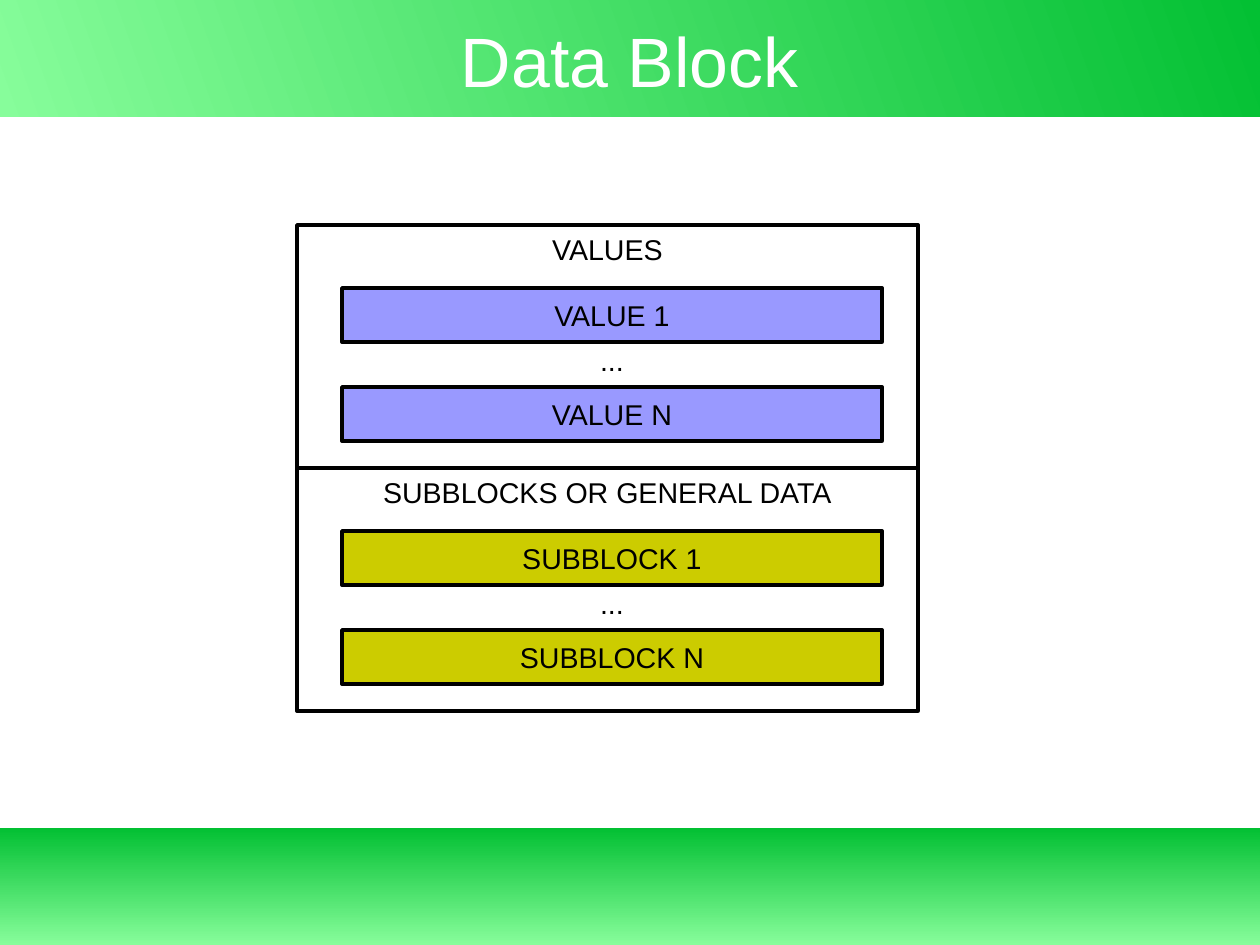
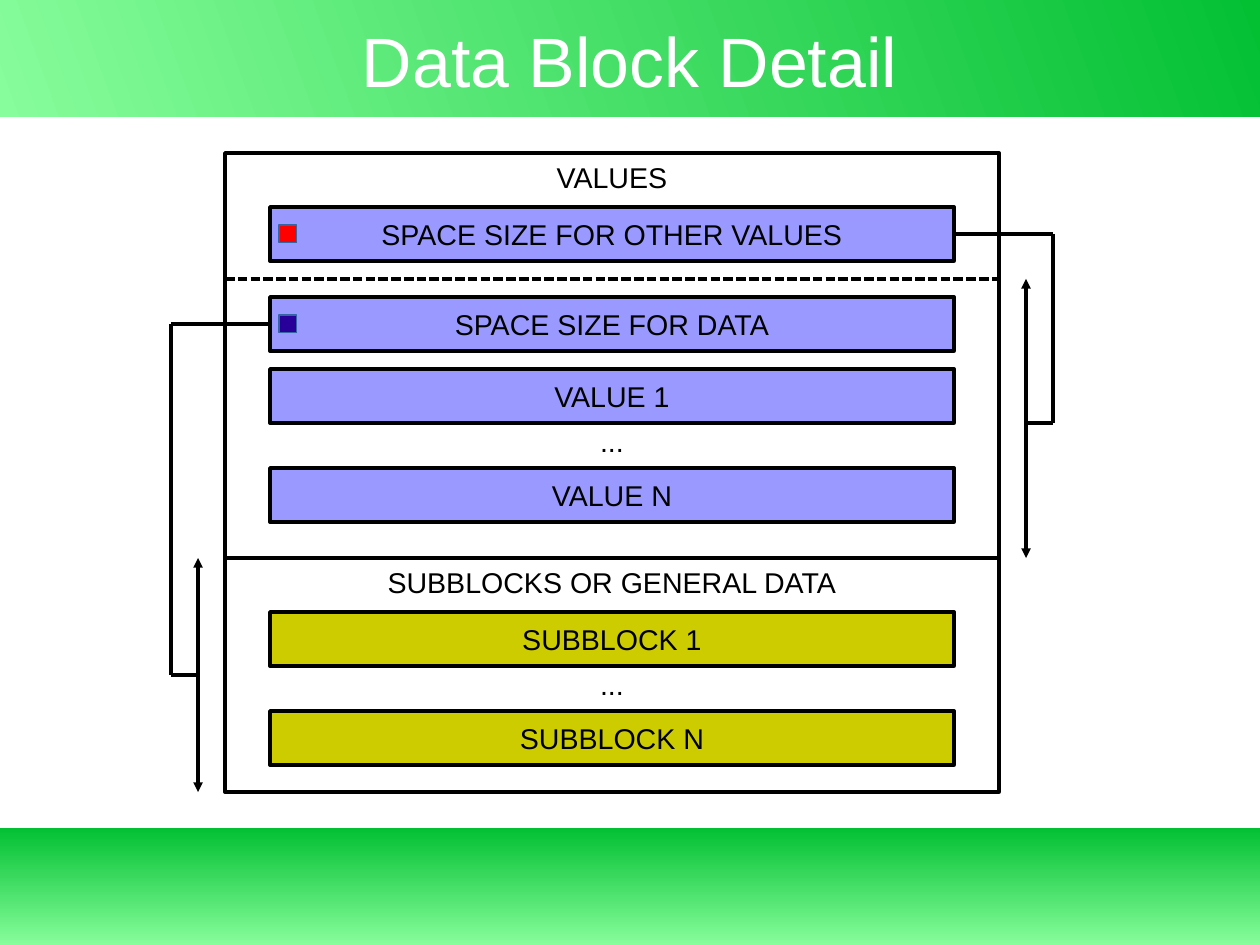
from dataclasses import dataclass
from lxml.etree import SubElement
from pptx import Presentation
from pptx.dml.color import RGBColor
from pptx.enum.dml import MSO_LINE
from pptx.enum.shapes import MSO_CONNECTOR, MSO_SHAPE
from pptx.enum.text import MSO_ANCHOR, MSO_AUTO_SIZE, PP_ALIGN
from pptx.oxml.ns import qn
from pptx.util import Cm, Pt


@dataclass(frozen=True)
class Theme:
    font: str = "Arial"
    ink: str = "000000"
    paper: str = "FFFFFF"
    light: str = "87FD9B"
    dark: str = "03C033"
    value: str = "9999FF"
    block: str = "CCCC00"
    red: str = "FF0000"
    navy: str = "280099"
    edge: str = "3465A4"
    title: float = 44
    body: float = 18
    heavy: float = 2.3
    hair: float = 0


THEME = Theme()
WIDE, HIGH, BAND = 28, 21, 2.6
BAR = 1.2


def rgb(code):
    return RGBColor.from_string(code)


def write(shape, text, size, color, anchor, pad=(0, 0)):
    frame = shape.text_frame
    frame.text = text
    frame.word_wrap = False
    frame.auto_size = MSO_AUTO_SIZE.NONE
    frame.vertical_anchor = anchor
    frame.margin_left = frame.margin_right = Cm(pad[0])
    frame.margin_top = frame.margin_bottom = Cm(pad[1])
    para = frame.paragraphs[0]
    para.alignment = PP_ALIGN.CENTER
    font = para.runs[0].font
    font.name, font.size = THEME.font, Pt(size)
    font.color.rgb = rgb(color)


def label(shape, text, anchor=MSO_ANCHOR.MIDDLE):
    write(shape, text, THEME.body, THEME.ink, anchor, (0.28, 0.15))


def rect(slide, x, y, w, h, fill=None, line=THEME.ink, width=THEME.heavy):
    shape = slide.shapes.add_shape(MSO_SHAPE.RECTANGLE, Cm(x), Cm(y), Cm(w), Cm(h))
    shape.shadow.inherit = False
    if fill:
        shape.fill.solid()
        shape.fill.fore_color.rgb = rgb(fill)
    else:
        shape.fill.background()
    shape.line.color.rgb = rgb(line)
    shape.line.width = Pt(width)
    return shape


def rule(slide, start, end, arrows=False, dash=None):
    line = slide.shapes.add_connector(
        MSO_CONNECTOR.STRAIGHT, *(Cm(n) for n in (*start, *end)))
    line.line.color.rgb = rgb(THEME.ink)
    line.line.width = Pt(THEME.hair)
    if dash:
        line.line.dash_style = dash
    if arrows:
        pen = line.line.fill and line.element.spPr.find(qn("a:ln"))
        for tag in ("a:headEnd", "a:tailEnd"):
            SubElement(pen, qn(tag), type="triangle")
    SubElement(line.element.spPr, qn("a:effectLst"))


def path(slide, points):
    for start, end in zip(points, points[1:]):
        rule(slide, start, end)


def bands(slide):
    tree = slide.slide_layout.shapes.element
    for spot, (top, angle) in enumerate(((0, 20), (HIGH - BAND, 90))):
        band = rect(slide, 0, top, WIDE, BAND)
        band.line.fill.background()
        band.fill.gradient()
        band.fill.gradient_angle = angle
        for stop, color in zip(band.fill.gradient_stops, (THEME.light, THEME.dark)):
            stop.color.rgb = rgb(color)
        for place, stop in enumerate(band.fill.gradient_stops):
            stop.position = place
        band.element.nvSpPr.cNvPr.set("id", str(90 + spot))
        tree.insert(2 + spot, band.element)


def head(slide, text):
    title = slide.shapes.title
    title.left, title.top = Cm(1.4), Cm(0.43)
    title.width, title.height = Cm(25.2), Cm(1.78)
    write(title, text, THEME.title, THEME.paper, MSO_ANCHOR.MIDDLE)


def panel(slide, box, name, fill, bars, inset):
    x, y, w, h = box
    left, right = inset
    span = w - left - right
    label(rect(slide, *box), name, MSO_ANCHOR.TOP)
    for text, drop in bars:
        label(rect(slide, x + left, y + drop, span, BAR, fill), text)
    last = bars[-1][1]
    dots = slide.shapes.add_textbox(
        Cm(x + left), Cm(y + last - BAR), Cm(span), Cm(BAR))
    label(dots, "...")


def block(slide, x, y, w, parts, inset):
    for name, fill, h, bars in parts:
        panel(slide, (x, y, w, h), name, fill, bars, inset)
        y += h


def parts(tall, low, first, drop, extra=()):
    gap = 2.2
    return (
        ("VALUES", THEME.value, tall,
         (*extra, ("VALUE 1", first), ("VALUE N", first + gap))),
        ("SUBBLOCKS OR GENERAL DATA", THEME.block, low,
         (("SUBBLOCK 1", drop), ("SUBBLOCK N", drop + gap))),
    )


def basic(slide):
    head(slide, "Data Block")
    block(slide, 6.6, 5, 13.8, parts(5.4, 5.4, 1.4, 1.4), (1, 0.8))


def detail(slide):
    head(slide, "Data Block Detail")
    x, y, w, tall, low = 5, 3.4, 17.2, 9, 5.2
    other, data = 1.2, 3.2
    extra = (("SPACE SIZE FOR OTHER VALUES", other), ("SPACE SIZE FOR DATA", data))
    block(slide, x, y, w, parts(tall, low, 4.8, 1.2, extra), (1, 1))
    marks(slide, x, y, ((other, THEME.red), (data, THEME.navy)))
    end, split, cut = x + w, y + tall, y + 2.8
    rule(slide, (x, cut), (end, cut), dash=MSO_LINE.SQUARE_DOT)
    extent(slide, end - 1, y + other + BAR / 2, end + 0.6, end + 1.2,
           cut, split, 9.4)
    extent(slide, x + 1, y + data + BAR / 2, x - 0.6, x - 1.2,
           split, split + low, split + low / 2)


def marks(slide, x, y, items):
    side = 0.4
    for drop, color in items:
        rect(slide, x + 1.2, y + drop + (BAR - side) / 2, side, side,
             color, THEME.edge, THEME.hair)


def extent(slide, edge, row, shaft, turn, top, base, mid):
    rule(slide, (shaft, top), (shaft, base), arrows=True)
    path(slide, ((edge, row), (turn, row), (turn, mid), (shaft, mid)))


def main():
    deck = Presentation()
    deck.slide_width, deck.slide_height = Cm(WIDE), Cm(HIGH)
    layout = deck.slide_layouts[5]
    slides = [deck.slides.add_slide(layout) for _ in range(2)]
    bands(slides[0])
    for draw, slide in zip((basic, detail), slides):
        draw(slide)
    deck.save("out.pptx")


if __name__ == "__main__":
    main()
